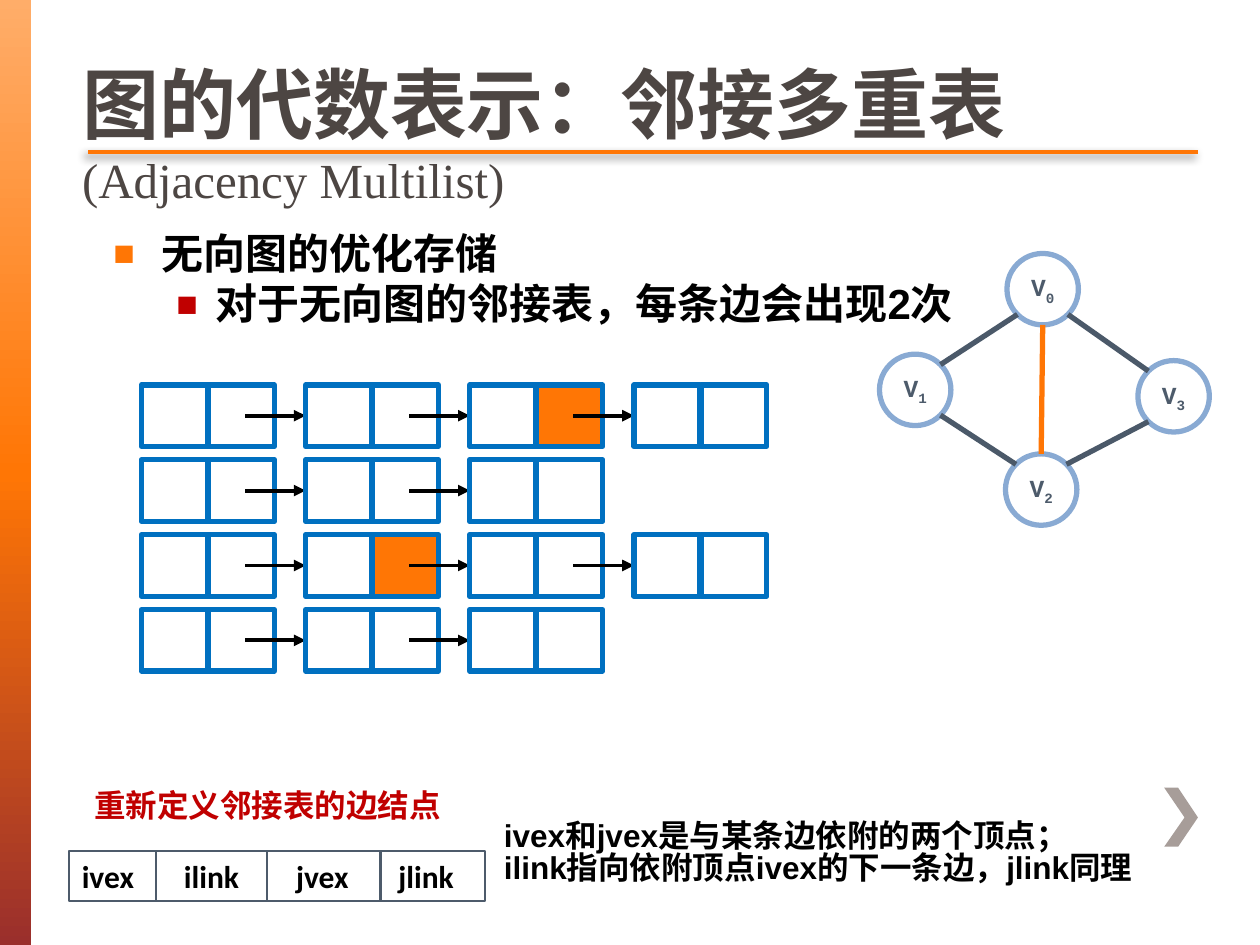
import copy
import math
import lxml.etree
import pptx
import pptx.dml.color
import pptx.enum.shapes
import pptx.enum.text
import pptx.oxml.ns
import pptx.util

Cm = pptx.util.Cm
Pt = pptx.util.Pt
qn = pptx.oxml.ns.qn
SubElement = lxml.etree.SubElement
Shape = pptx.enum.shapes.MSO_SHAPE
Anchor = pptx.enum.text.MSO_ANCHOR
Align = pptx.enum.text.PP_ALIGN

HEX = {
    "orange": "FF7605", "peach": "FFAD69", "brick": "9A2F2C", "taupe": "A79D99",
    "title": "4D4643", "black": "000000", "red": "C00000", "cell": "0070C0",
    "ring": "89AAD3", "slate": "4D5B6B", "edge": "4B5969", "white": "FFFFFF",
}
COLORS = {name: pptx.dml.color.RGBColor.from_string(value) for name, value in HEX.items()}
CJK = "Noto Sans CJK SC"


def add_run(paragraph, text, size, face, color, bold=True):
    run = paragraph.add_run()
    run.text = text
    run.font.size = Pt(size)
    run.font.name = face
    run.font.bold = bold
    run.font.color.rgb = COLORS[color]
    SubElement(run.font._element, qn("a:ea"), typeface=CJK)
    return run


def add_line(x1, y1, x2, y2, color, width):
    line = slide.shapes.add_connector(
        pptx.enum.shapes.MSO_CONNECTOR.STRAIGHT, Cm(x1), Cm(y1), Cm(x2), Cm(y2))
    line.line.color.rgb = COLORS[color]
    line.line.width = Pt(width)
    SubElement(line._element.spPr, qn("a:effectLst"))
    return line


deck = pptx.Presentation()
deck.slide_width = Cm(25.4)
deck.slide_height = Cm(19.05)
slide = deck.slides.add_slide(deck.slide_layouts[1])

sidebar = slide.shapes.add_shape(Shape.RECTANGLE, 0, 0, Cm(0.63), Cm(19.05))
sidebar.shadow.inherit = False
sidebar.line.fill.background()
sidebar.fill.gradient()
sidebar.fill.gradient_angle = 270
stop_list = sidebar._element.spPr.find(".//" + qn("a:gsLst"))
stop_list.append(copy.deepcopy(stop_list[0]))
for stop, position, color in zip(
        sidebar.fill.gradient_stops, (0, 0.5, 1), ("peach", "orange", "brick")):
    stop.position = position
    stop.color.rgb = COLORS[color]

outline = [(23.47, 15.88), (23.75, 15.88), (24.15, 16.48),
           (23.75, 17.07), (23.47, 17.07), (23.88, 16.48)]
points = [(Cm(x), Cm(y)) for x, y in outline]
builder = slide.shapes.build_freeform(*points[0], scale=1.0)
builder.add_line_segments(points[1:], close=True)
chevron = builder.convert_to_shape()
chevron.shadow.inherit = False
chevron.fill.solid()
chevron.fill.fore_color.rgb = COLORS["taupe"]
chevron.line.fill.background()

title_rule = add_line(1.78, 3.07, 24.15, 3.07, "orange", 2.5)
shadow = SubElement(title_rule._element.spPr.find(qn("a:effectLst")), qn("a:outerShdw"),
                    blurRad=str(Pt(5)), dist=str(Pt(3)), dir="8100000", rotWithShape="0")
shadow_color = SubElement(shadow, qn("a:srgbClr"), val=HEX["black"])
SubElement(shadow_color, qn("a:alpha"), val="45000")

title = slide.shapes.title
title.left, title.top, title.width, title.height = Cm(1.4), Cm(1.45), Cm(22.96), Cm(2.87)
title.text_frame.auto_size = pptx.enum.text.MSO_AUTO_SIZE.NONE
title.text_frame.vertical_anchor = Anchor.BOTTOM
heading = title.text_frame.paragraphs[0]
heading.alignment = Align.LEFT
add_run(heading, "图的代数表示：邻接多重表", 44, CJK, "title")
heading.add_line_break()
add_run(heading, "(Adjacency Multilist)", 28, "Times New Roman", "title", bold=False)

body = slide.placeholders[1]
body.left, body.top, body.width, body.height = Cm(2.03), Cm(4.57), Cm(22.3), Cm(14.48)
body.text_frame.auto_size = pptx.enum.text.MSO_AUTO_SIZE.NONE
bullets = [
    ("无向图的优化存储", 0, 0.97, 0.97, "orange", 0),
    ("对于无向图的邻接表，每条边会出现2次", 1, 2.06, 0.79, "red", 3),
]
for index, (text, level, margin, hang, color, gap) in enumerate(bullets):
    point = body.text_frame.add_paragraph() if index else body.text_frame.paragraphs[0]
    point.level = level
    settings = point._p.get_or_add_pPr()
    settings.set("marL", str(Cm(margin)))
    settings.set("indent", str(-Cm(hang)))
    SubElement(SubElement(settings, qn("a:buClr")), qn("a:srgbClr"), val=HEX[color])
    SubElement(settings, qn("a:buSzPct"), val="85000")
    SubElement(settings, qn("a:buFont"), typeface="Arial")
    SubElement(settings, qn("a:buChar"), char="■")
    point.line_spacing = 0.9
    point.space_before = Pt(gap)
    add_run(point, text, 24, "Arial", "black")

RADIUS = 0.72
vertices = [(21.02, 5.83), (18.45, 7.86), (20.99, 9.87), (23.66, 7.99)]
for number, (x, y) in enumerate(vertices):
    vertex = slide.shapes.add_shape(
        Shape.OVAL, Cm(x - RADIUS), Cm(y - RADIUS), Cm(2 * RADIUS), Cm(2 * RADIUS))
    vertex.shadow.inherit = False
    vertex.fill.solid()
    vertex.fill.fore_color.rgb = COLORS["white"]
    vertex.line.color.rgb = COLORS["ring"]
    vertex.line.width = Pt(3)
    frame = vertex.text_frame
    frame.word_wrap = False
    frame.margin_left = frame.margin_right = 0
    frame.vertical_anchor = Anchor.MIDDLE
    label = frame.paragraphs[0]
    label.alignment = Align.CENTER
    add_run(label, "V", 14, "Courier New", "slate")
    subscript = add_run(label, str(number), 14, "Courier New", "slate")
    subscript.font._element.set("baseline", "-25000")

edges = [(0, 2, 0, 1, "orange"), (0, 1, -1, 1, "edge"), (0, 3, 1, 1, "edge"),
         (2, 1, -1, -1, "edge"), (3, 2, -1, 1, "edge")]
for start, end, side_x, side_y, color in edges:
    reach = RADIUS / math.hypot(side_x, side_y)
    (x1, y1), (x2, y2) = vertices[start], vertices[end]
    add_line(x1 + side_x * reach, y1 + side_y * reach,
             x2 - side_x * reach, y2 - side_y * reach, color, 3)

NODE_PITCH, ROW_PITCH, CELL_PITCH = 3.31, 1.51, 1.35
node_counts = [4, 3, 4, 3]
highlighted = {(0, 2), (2, 1)}
for row, count in enumerate(node_counts):
    top = 7.76 + row * ROW_PITCH
    for node in range(count):
        left = 2.85 + node * NODE_PITCH
        for half in range(2):
            cell = slide.shapes.add_shape(
                Shape.RECTANGLE, Cm(left + half * CELL_PITCH), Cm(top), Cm(1.33), Cm(1.24))
            cell.shadow.inherit = False
            cell.line.color.rgb = COLORS["cell"]
            cell.line.width = Pt(3)
            if half and (row, node) in highlighted:
                cell.fill.solid()
                cell.fill.fore_color.rgb = COLORS["orange"]
            else:
                cell.fill.background()
        if node < count - 1:
            link = add_line(left + 2.09, top + 0.62, left + NODE_PITCH, top + 0.62, "black", 2.25)
            SubElement(link.line._get_or_add_ln(), qn("a:tailEnd"), type="triangle")

edge_record = slide.shapes.add_shape(Shape.RECTANGLE, Cm(1.4), Cm(17.15), Cm(8.38), Cm(1.02))
edge_record.shadow.inherit = False
edge_record.fill.solid()
edge_record.fill.fore_color.rgb = COLORS["white"]
edge_record.line.color.rgb = COLORS["slate"]
edge_record.line.width = Pt(1.25)
edge_record.text_frame.vertical_anchor = Anchor.MIDDLE
fields = edge_record.text_frame.paragraphs[0]
fields.alignment = Align.LEFT
tabs = SubElement(fields._p.get_or_add_pPr(), qn("a:tabLst"))
for stop in (2.06, 4.32, 6.38):
    SubElement(tabs, qn("a:tab"), pos=str(Cm(stop)), algn="l")
add_run(fields, "ivex\tilink\tjvex\tjlink", 18, "Calibri", "black")
for x in (3.15, 5.38, 7.67):
    add_line(x, 17.15, x, 18.17, "slate", 1.25)

captions = [
    (9.91, 16.46, 13.36, 1.8, "black",
     ["ivex和jvex是与某条边依附的两个顶点；", "ilink指向依附顶点ivex的下一条边，jlink同理"]),
    (1.65, 15.85, 7.62, 1.02, "red", ["重新定义邻接表的边结点"]),
]
for left, top, width, height, color, lines in captions:
    caption = slide.shapes.add_textbox(Cm(left), Cm(top), Cm(width), Cm(height)).text_frame
    caption.word_wrap = True
    for index, text in enumerate(lines):
        sentence = caption.add_paragraph() if index else caption.paragraphs[0]
        sentence.line_spacing = 0.83
        add_run(sentence, text, 18, "Arial", color)

deck.save("out.pptx")
